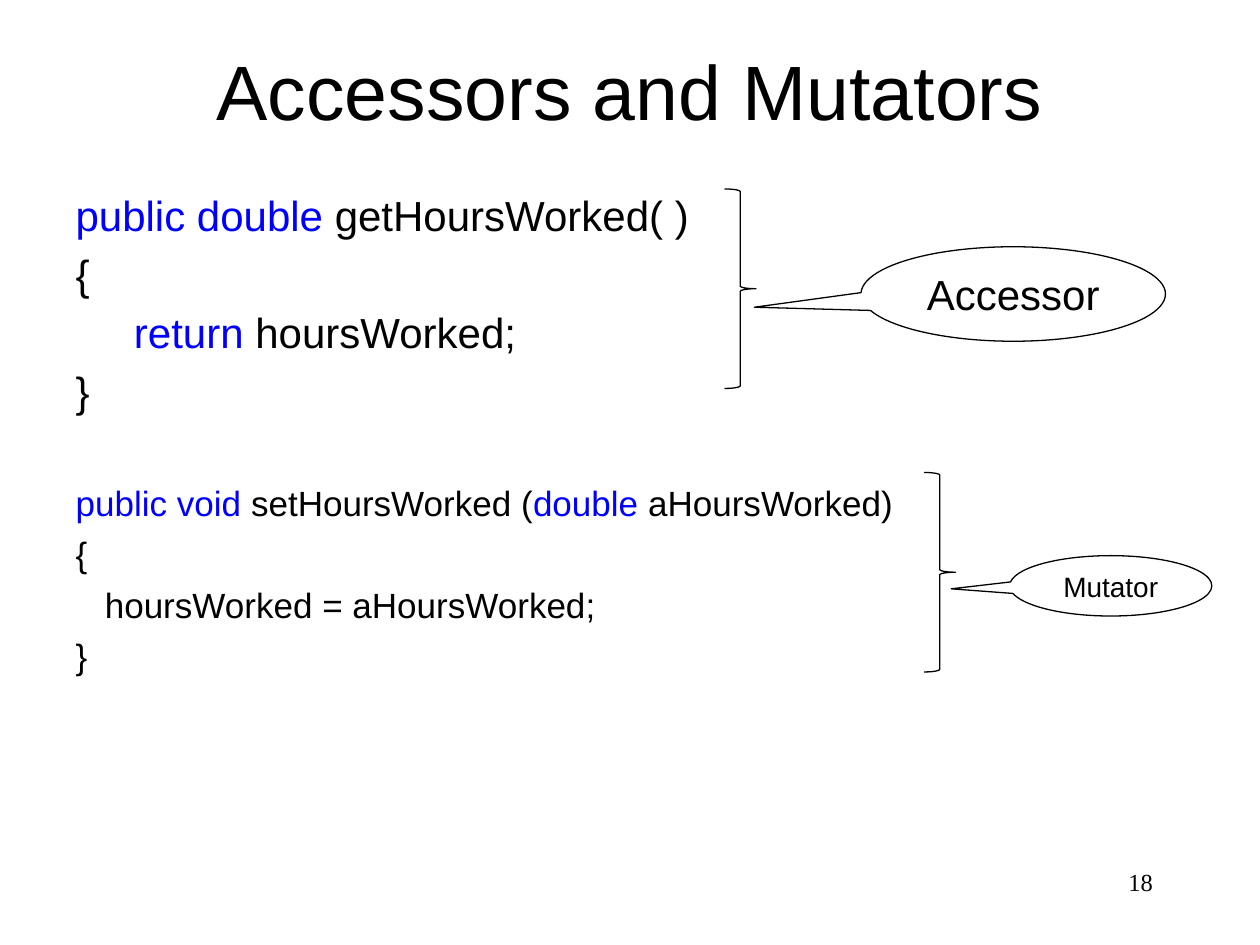
from dataclasses import dataclass, field
from typing import Any

from pptx import Presentation
from pptx.dml.color import RGBColor
from pptx.enum.shapes import MSO_SHAPE as Shape
from pptx.enum.text import MSO_ANCHOR as Anchor, MSO_AUTO_SIZE as AutoSize, PP_ALIGN as Align
from pptx.oxml.xmlchemy import OxmlElement
from pptx.util import Pt


@dataclass(frozen=True)
class Theme:
    """Colours, fonts and type sizes in points."""
    ink: RGBColor = RGBColor(0, 0, 0)
    keyword: RGBColor = RGBColor(0, 0, 255)
    sans: str = "Arial"
    serif: str = "Times New Roman"
    title: float = 44
    large: float = 24
    medium: float = 20
    small: float = 16
    number: float = 14
    outline: float = 0.75


THEME = Theme()


@dataclass(frozen=True)
class Box:
    """A rectangle in points."""
    left: float
    top: float
    width: float
    height: float

    def lengths(self) -> tuple:
        """Return the four lengths as Pt values."""
        return tuple(Pt(value) for value in (self.left, self.top, self.width, self.height))


@dataclass(frozen=True)
class Line:
    """A line of code as (text, is keyword) pieces."""
    pieces: tuple[tuple[str, bool], ...]
    indent: float = 0


@dataclass(frozen=True)
class Method:
    """A code listing with its brace and callout."""
    size: float
    space_above: float
    lines: tuple[Line, ...]
    brace: Box
    label: str
    label_size: float
    callout: Box
    tail: tuple[float, float] = field(default=(0, 0))


OPEN, CLOSE = Line((("{", False),)), Line((("}", False),))
LINE_GAP = 7.5
METHODS = (
    Method(THEME.large, 0,
           (Line((("public double ", True), ("getHoursWorked( )", False))), OPEN,
            Line((("return ", True), ("hoursWorked;", False)), 33.35), CLOSE),
           Box(414, 108, 18, 114), "Accessor", THEME.large,
           Box(492, 141, 174, 54), (-0.85, 0.14)),
    Method(THEME.medium, 40,
           (Line((("public void ", True), ("setHoursWorked (", False),
                  ("double ", True), ("aHoursWorked)", False))), OPEN,
            Line((("hoursWorked = aHoursWorked;", False),), 16.7), CLOSE),
           Box(528, 270, 18, 114), "Mutator", THEME.small,
           Box(577, 317.5, 115.5, 34.5), (-0.79, 0.05)),
)


def apply(target: Any, values: dict[str, Any]) -> None:
    """Set each named attribute on the target."""
    for name, value in values.items():
        setattr(target, name, value)


def place(shape: Any, box: Box) -> None:
    """Move and size a shape."""
    apply(shape, dict(zip(("left", "top", "width", "height"), box.lengths())))


def add_run(paragraph: Any, text: str, size: float, color: RGBColor = THEME.ink,
            font: str = THEME.sans) -> None:
    """Add one formatted run."""
    run = paragraph.add_run()
    run.text = text
    apply(run.font, {"name": font, "size": Pt(size)})
    run.font.color.rgb = color


def write_label(shape: Any, text: str, size: float, align: Align, anchor: Anchor,
                font: str = THEME.sans) -> None:
    """Write a single line in a shape."""
    frame = shape.text_frame
    apply(frame, {"word_wrap": True, "auto_size": AutoSize.NONE, "vertical_anchor": anchor})
    frame.paragraphs[0].alignment = align
    add_run(frame.paragraphs[0], text, size, font=font)


def write_code(paragraph: Any, line: Line, size: float, space_above: float) -> None:
    """Write a line of code without a bullet."""
    apply(paragraph, {"alignment": Align.LEFT, "line_spacing": 0.9,
                      "space_before": Pt(space_above), "space_after": Pt(0)})
    properties = paragraph._p.get_or_add_pPr()
    properties.set("marL", str(Pt(line.indent)))
    properties.set("indent", "0")
    properties.append(OxmlElement("a:buNone"))
    for text, is_keyword in line.pieces:
        add_run(paragraph, text, size, THEME.keyword if is_keyword else THEME.ink)


def write_methods(body: Any, methods: tuple[Method, ...]) -> None:
    """Fill the body with all listings."""
    frame = body.text_frame
    apply(frame, {"word_wrap": True, "auto_size": AutoSize.NONE, "vertical_anchor": Anchor.TOP})
    paragraph = None
    for method in methods:
        for index, line in enumerate(method.lines):
            paragraph = frame.paragraphs[0] if paragraph is None else frame.add_paragraph()
            space_above = LINE_GAP if index else method.space_above
            write_code(paragraph, line, method.size, space_above)


def add_outline(slide: Any, kind: Shape, box: Box) -> Any:
    """Add an unfilled shape with a thin line."""
    shape = slide.shapes.add_shape(kind, *box.lengths())
    shape.shadow.inherit = False
    shape.fill.background()
    shape.line.color.rgb = THEME.ink
    shape.line.width = Pt(THEME.outline)
    return shape


def add_callout(slide: Any, method: Method) -> None:
    """Add the callout that names a method's kind."""
    callout = add_outline(slide, Shape.OVAL_CALLOUT, method.callout)
    for index, value in enumerate(method.tail):
        callout.adjustments[index] = value
    write_label(callout, method.label, method.label_size, Align.CENTER, Anchor.MIDDLE)


def main() -> None:
    """Build and save the slide."""
    presentation = Presentation()
    apply(presentation, {"slide_width": Pt(720), "slide_height": Pt(540)})
    slide = presentation.slides.add_slide(presentation.slide_layouts[1])
    title, body = slide.placeholders
    place(title, Box(54, 24, 612, 54))
    write_label(title, "Accessors and Mutators", THEME.title, Align.CENTER, Anchor.MIDDLE)
    place(body, Box(36, 108, 666, 378))
    write_methods(body, METHODS)
    number = slide.shapes.add_textbox(*Box(516, 492, 150, 36).lengths())
    write_label(number, "18", THEME.number, Align.RIGHT, Anchor.TOP, THEME.serif)
    for method in METHODS:
        add_outline(slide, Shape.RIGHT_BRACE, method.brace)
    for method in METHODS:
        add_callout(slide, method)
    presentation.save("out.pptx")


if __name__ == "__main__":
    main()
